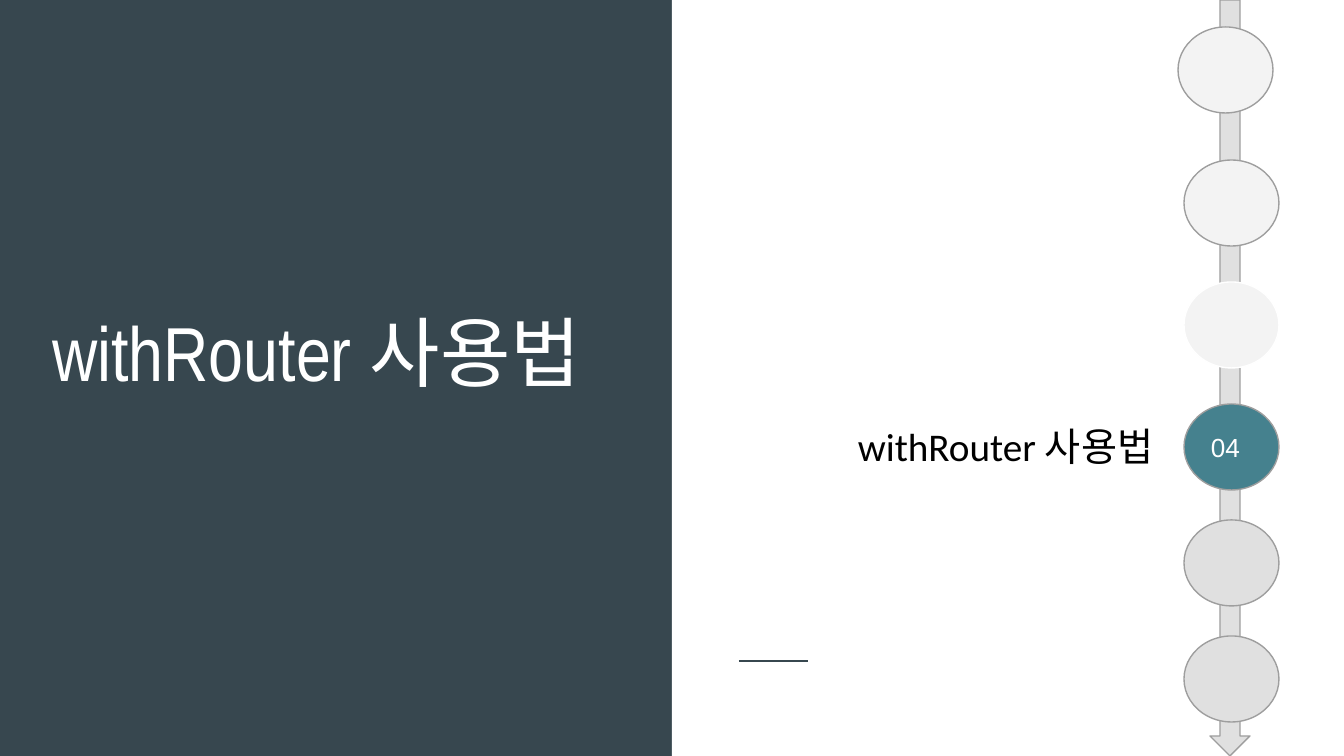
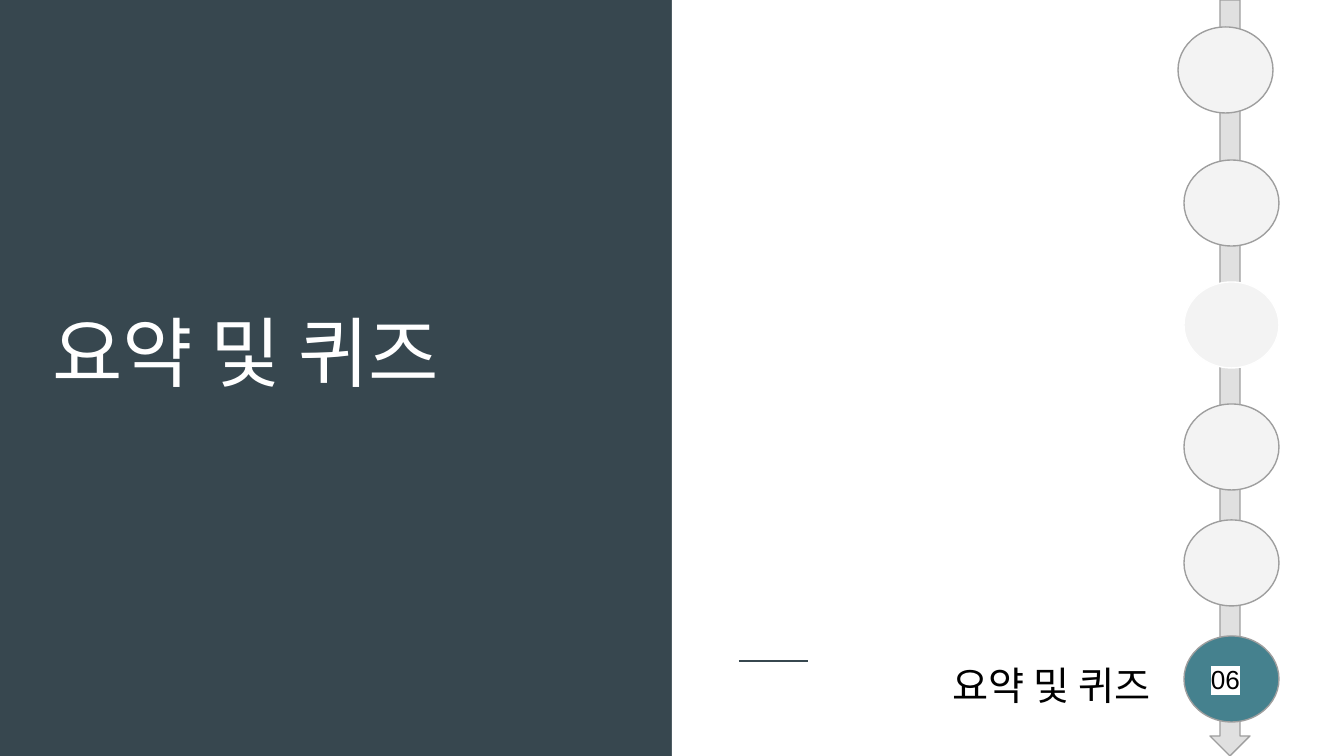
"""Two section divider slides with a numbered progress track."""
from lxml import etree
from pptx import Presentation
from pptx.dml.color import RGBColor
from pptx.enum.shapes import MSO_CONNECTOR, MSO_SHAPE
from pptx.enum.text import MSO_ANCHOR, MSO_AUTO_SIZE, PP_ALIGN
from pptx.oxml.ns import qn
from pptx.util import Emu, Pt

RECT, OVAL, ARROW = MSO_SHAPE.RECTANGLE, MSO_SHAPE.OVAL, MSO_SHAPE.DOWN_ARROW
STRAIGHT = MSO_CONNECTOR.STRAIGHT
TOP, MIDDLE, BOTTOM = MSO_ANCHOR.TOP, MSO_ANCHOR.MIDDLE, MSO_ANCHOR.BOTTOM
LEFT, CENTER = PP_ALIGN.LEFT, PP_ALIGN.CENTER
NO_AUTOFIT = MSO_AUTO_SIZE.NONE

SECTIONS = [
    {"title": "withRouter 사용법", "step": 4, "label": (818, 409, 375, 71),
     "number": "white", "highlight": None},
    {"title": "요약 및 퀴즈", "step": 6, "label": (903, 648, 297, 71),
     "number": "black", "highlight": "white"},
]
STEPS = [
    (1178, 27, "outline"),
    (1184, 160, "outline"),
    (1184, 282, "white"),
    (1184, 404, "outline"),
    (1184, 520, "outline"),
    (1184, 636, "outline"),
]
COLORS = {"slate": "37474F", "white": "FFFFFF", "black": "000000", "track": "E0E0E0",
          "outline": "9E9E9E", "done": "F3F3F3", "current": "45818E"}
WIDTH, HEIGHT = 1344, 756
STEP_SIZE = (95, 86)
TITLE_BOX = (39, 159, 594, 251)
TRACK_BOX = (1210, 0, 40, HEIGHT)
INSET = 13


def px(length):
    return Emu(round(length * 914400 / 134.4))


def rgb(name):
    return RGBColor.from_string(COLORS[name])


def place(shape, box):
    shape.left, shape.top, shape.width, shape.height = map(px, box)


def outline(shape, color, width=0.75):
    shape.line.color.rgb = rgb(color)
    shape.line.width = Pt(width)


def add_shape(slide, kind, box, fill, line=None):
    shape = slide.shapes.add_shape(kind, *map(px, box))
    shape.shadow.inherit = False
    shape.fill.solid()
    shape.fill.fore_color.rgb = rgb(fill)
    if line:
        outline(shape, line)
    else:
        shape.line.fill.background()
    return shape


def write(shape, text, font, size, color, align, anchor):
    frame = shape.text_frame
    frame.text = text
    frame.word_wrap = True
    frame.auto_size = NO_AUTOFIT
    frame.vertical_anchor = anchor
    frame.margin_left = frame.margin_right = px(INSET)
    frame.margin_top = frame.margin_bottom = px(INSET)
    paragraph = frame.paragraphs[0]
    paragraph.alignment = align
    paragraph.space_before = Pt(0)
    paragraph.font.name = font
    paragraph.font.size = Pt(size)
    paragraph.font.color.rgb = rgb(color)
    defaults = paragraph._p.pPr.find(qn("a:defRPr"))
    etree.SubElement(defaults, qn("a:ea"), typeface=font)
    return paragraph


def highlight(paragraph, color):
    properties = paragraph.runs[0]._r.get_or_add_rPr()
    mark = etree.SubElement(properties, qn("a:highlight"))
    etree.SubElement(mark, qn("a:srgbClr"), val=COLORS[color])


def decorate_layout(layout, slide):
    layout.background.fill.solid()
    layout.background.fill.fore_color.rgb = rgb("slate")
    panel = add_shape(slide, RECT, (WIDTH // 2, 0, WIDTH // 2, HEIGHT), "white")
    rule = slide.shapes.add_connector(STRAIGHT, px(739), px(661), px(808), px(661))
    outline(rule, "slate", 1.5)
    etree.SubElement(rule.element.spPr, qn("a:effectLst"))
    for part in (panel, rule):
        layout.element.cSld.spTree.append(part.element)


def add_track(slide, section):
    add_shape(slide, ARROW, TRACK_BOX, "track", "outline")
    for number, (left, top, line) in enumerate(STEPS, 1):
        current = number == section["step"]
        fill = "current" if current else "done" if number < section["step"] else "track"
        circle = add_shape(slide, OVAL, (left, top, *STEP_SIZE), fill, line)
        if current:
            paragraph = write(circle, f"{number:02}", "Arial", 14, section["number"],
                              LEFT, MIDDLE)
            if section["highlight"]:
                highlight(paragraph, section["highlight"])


def add_section(slide, section):
    title, label = slide.placeholders
    place(title, TITLE_BOX)
    write(title, section["title"], "Arial Narrow", 41, "white", LEFT, BOTTOM)
    place(label, section["label"])
    outline(label, "white")
    write(label, section["title"], "Calibri", 21, "black", CENTER, TOP)
    add_track(slide, section)


def main():
    deck = Presentation()
    deck.slide_width, deck.slide_height = px(WIDTH), px(HEIGHT)
    layout = deck.slide_layouts[0]
    slides = [deck.slides.add_slide(layout) for _ in SECTIONS]
    decorate_layout(layout, slides[0])
    for slide, section in zip(slides, SECTIONS):
        add_section(slide, section)
    deck.save("out.pptx")


if __name__ == "__main__":
    main()
